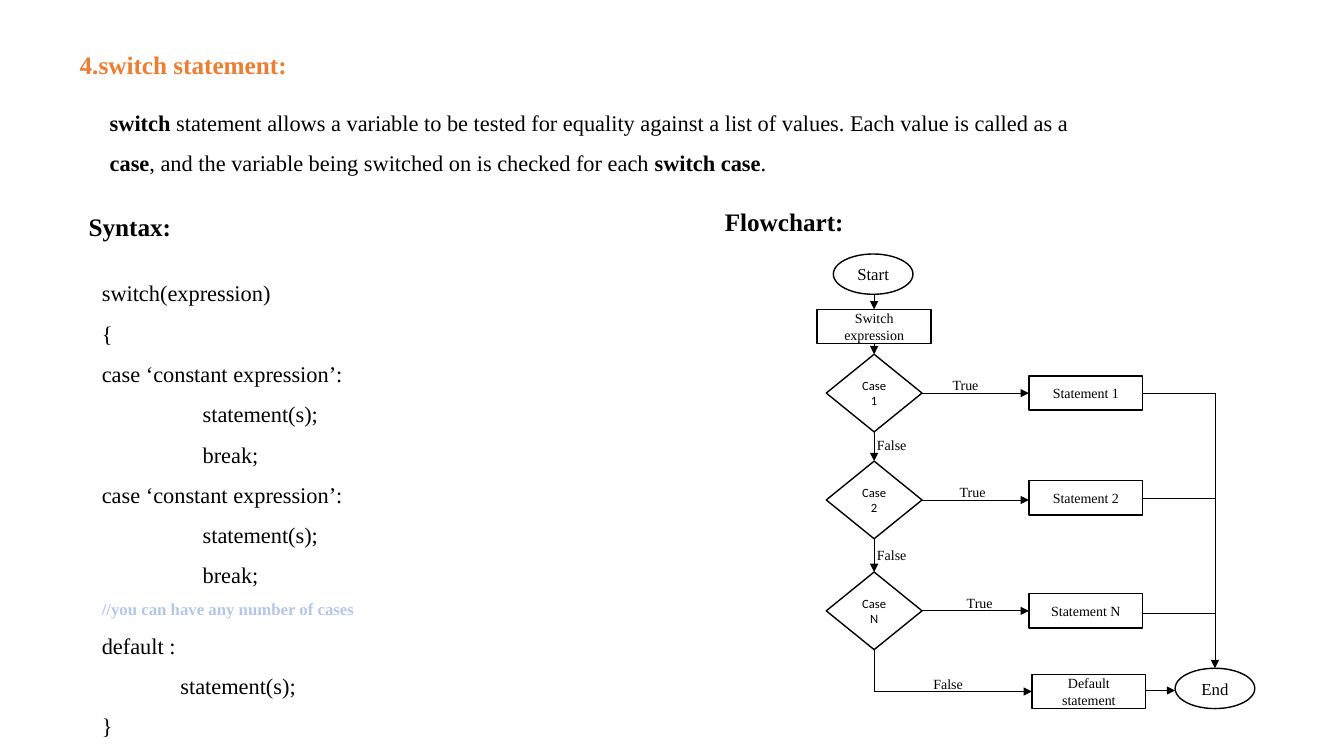
from lxml import etree
from pptx import Presentation
from pptx.dml.color import RGBColor
from pptx.enum.shapes import MSO_CONNECTOR, MSO_SHAPE
from pptx.enum.text import MSO_ANCHOR, MSO_AUTO_SIZE, PP_ALIGN
from pptx.oxml.ns import qn
from pptx.util import Inches, Pt

STRAIGHT = MSO_CONNECTOR.STRAIGHT
RECTANGLE, DIAMOND, OVAL = MSO_SHAPE.RECTANGLE, MSO_SHAPE.DIAMOND, MSO_SHAPE.OVAL
TOP, MIDDLE = MSO_ANCHOR.TOP, MSO_ANCHOR.MIDDLE
LEFT, CENTER = PP_ALIGN.LEFT, PP_ALIGN.CENTER
NO_FIT = MSO_AUTO_SIZE.NONE

SERIF, SANS = "Times New Roman", "Calibri"
BLACK, WHITE, ORANGE, PALE_BLUE = "000000", "FFFFFF", "ED7D31", "B4C7E7"

CASE_COLUMN, STATEMENT_COLUMN, END_COLUMN = 8.67, 10.77, 12.05
START_ROW, SWITCH_ROW, DEFAULT_ROW = 2.72, 3.24, 6.86
BOX_SIZE, DIAMOND_SIZE, OVAL_SIZE = (1.13, 0.34), (0.95, 0.77), (0.79, 0.4)
CASES = [
    ("1", 3.9, 3.9, 3.9, 9.35),
    ("2", 4.96, 4.94, 4.94, 9.42),
    ("N", 6.06, 6.06, 6.09, 9.49),
]

INTRO = [
    ("switch", True),
    (" statement allows a variable to be tested for equality against "
     "a list of values. Each value is called as a ", False),
    ("case", True),
    (", and the variable being switched on is checked for each ", False),
    ("switch case", True),
    (".", False),
]
CASE_CODE = [("case ‘constant expression’:", 0), ("statement(s);", 1), ("break;", 1)]
CODE = [
    ("switch(expression)", 0), ("{", 0), *CASE_CODE, *CASE_CODE,
    ("//you can have any number of cases", 0),
    ("default :", 0), ("statement(s);", 0.78), ("}", 0),
]


def color(value):
    return RGBColor.from_string(value)


def set_format(target, values):
    for name, value in values.items():
        setattr(target, name, value)


def prepare_frame(box, anchor=TOP):
    set_format(box.text_frame, {
        "word_wrap": True, "auto_size": NO_FIT, "vertical_anchor": anchor,
    })
    return box.text_frame


def add_span(para, text, size, bold=False, tint=BLACK, font=SERIF):
    span = para.add_run()
    span.text = text
    set_format(span.font, {"name": font, "size": Pt(size), "bold": bold})
    span.font.color.rgb = color(tint)


def place(box, left, top, width, height):
    set_format(box, {
        "left": Inches(left), "top": Inches(top),
        "width": Inches(width), "height": Inches(height),
    })


def add_text(page, left, top, width, height, spans, size, spacing=1.0):
    box = page.shapes.add_textbox(0, 0, 0, 0)
    place(box, left, top, width, height)
    para = prepare_frame(box).paragraphs[0]
    para.line_spacing = spacing
    for text, bold in spans:
        add_span(para, text, size, bold)


def fill_title(title):
    place(title, 0.69, 0.44, 3.11, 0.4)
    para = prepare_frame(title).paragraphs[0]
    para.alignment = LEFT
    add_span(para, "4.switch statement:", 18, True, ORANGE)


def fill_code(body):
    place(body, 0.91, 2.59, 3.17, 4.8)
    frame = prepare_frame(body)
    for index, (text, indent) in enumerate(CODE):
        para = frame.add_paragraph() if index else frame.paragraphs[0]
        set_format(para, {
            "line_spacing": 1.5, "space_before": Pt(0), "space_after": Pt(0),
        })
        properties = para._p.get_or_add_pPr()
        properties.set("marL", str(Inches(indent)))
        properties.set("indent", "0")
        etree.SubElement(properties, qn("a:buNone"))
        remark = text.startswith("//")
        add_span(para, text, 12 if remark else 16, remark,
                 PALE_BLUE if remark else BLACK)


def add_node(page, kind, center, middle, extent, text, size, font=SERIF):
    width, height = extent
    node = page.shapes.add_shape(kind, 0, 0, 0, 0)
    place(node, center - width / 2, middle - height / 2, width, height)
    node.shadow.inherit = False
    node.fill.solid()
    node.fill.fore_color.rgb = color(WHITE)
    node.line.color.rgb = color(BLACK)
    node.line.width = Pt(1)
    para = prepare_frame(node, MIDDLE).paragraphs[0]
    para.alignment = CENTER
    add_span(para, text, size, font=font)


def add_line(page, start, finish, arrow=True):
    line = page.shapes.add_connector(
        STRAIGHT, *(Inches(value) for value in (*start, *finish)))
    line.line.color.rgb = color(BLACK)
    line.line.width = Pt(0.5)
    if arrow:
        etree.SubElement(line.line._ln, qn("a:tailEnd"), type="triangle")
    etree.SubElement(line._element.spPr, qn("a:effectLst"))


def add_label(page, left, top, text):
    add_text(page, left, top, 0.57, 0.27, [(text, False)], 10)


def draw_start(page):
    first_case = CASES[0][1]
    add_node(page, OVAL, CASE_COLUMN - 0.01, START_ROW, OVAL_SIZE, "Start", 12)
    add_node(page, RECTANGLE, CASE_COLUMN, SWITCH_ROW, BOX_SIZE, "Switch expression", 10)
    add_line(page, (CASE_COLUMN, START_ROW + OVAL_SIZE[1] / 2),
             (CASE_COLUMN, SWITCH_ROW - BOX_SIZE[1] / 2))
    add_line(page, (CASE_COLUMN, SWITCH_ROW + BOX_SIZE[1] / 2),
             (CASE_COLUMN, first_case - DIAMOND_SIZE[1] / 2))


def draw_cases(page):
    box_left = STATEMENT_COLUMN - BOX_SIZE[0] / 2
    box_right = STATEMENT_COLUMN + BOX_SIZE[0] / 2
    for name, row, statement_row, exit_row, label_left in CASES:
        add_node(page, DIAMOND, CASE_COLUMN, row, DIAMOND_SIZE, f"Case {name}", 9, SANS)
        add_node(page, RECTANGLE, STATEMENT_COLUMN, statement_row, BOX_SIZE,
                 f"Statement {name}", 10)
        add_line(page, (CASE_COLUMN + DIAMOND_SIZE[0] / 2, row), (box_left, row))
        add_line(page, (box_right, exit_row), (END_COLUMN, exit_row), False)
        add_label(page, label_left, row - 0.21, "True")
    half = DIAMOND_SIZE[1] / 2
    for upper, lower, label_top in zip(CASES, CASES[1:], (4.28, 5.37)):
        add_line(page, (CASE_COLUMN, upper[1] + half), (CASE_COLUMN, lower[1] - half))
        add_label(page, CASE_COLUMN - 0.07, label_top, "False")


def draw_end(page):
    box_center = STATEMENT_COLUMN + 0.03
    half_box, half_oval = BOX_SIZE[0] / 2, OVAL_SIZE[0] / 2
    end_row = DEFAULT_ROW - 0.03
    exit_row = DEFAULT_ROW - 0.01
    add_node(page, RECTANGLE, box_center, DEFAULT_ROW, BOX_SIZE, "Default statement", 10)
    add_node(page, OVAL, END_COLUMN, end_row, OVAL_SIZE, "End", 12)
    add_line(page, (CASE_COLUMN, CASES[-1][1] + DIAMOND_SIZE[1] / 2),
             (CASE_COLUMN, DEFAULT_ROW), False)
    add_line(page, (CASE_COLUMN, DEFAULT_ROW), (box_center - half_box, DEFAULT_ROW))
    add_line(page, (box_center + half_box, exit_row), (END_COLUMN - half_oval, exit_row))
    add_line(page, (END_COLUMN, CASES[0][3]), (END_COLUMN, end_row - OVAL_SIZE[1] / 2))
    add_label(page, 9.16, DEFAULT_ROW - 0.21, "False")


def main():
    deck = Presentation()
    set_format(deck, {"slide_width": Inches(13.33), "slide_height": Inches(7.5)})
    page = deck.slides.add_slide(deck.slide_layouts[1])
    fill_title(page.shapes.title)
    fill_code(page.placeholders[1])
    add_text(page, 0.99, 0.9, 9.77, 0.86, INTRO, 16, 1.5)
    add_text(page, 0.78, 2.05, 1.35, 0.4, [("Syntax:", True)], 18)
    add_text(page, 7.09, 2, 2.03, 0.4, [("Flowchart:", True)], 18)
    draw_start(page)
    draw_cases(page)
    draw_end(page)
    deck.save("out.pptx")


if __name__ == "__main__":
    main()
